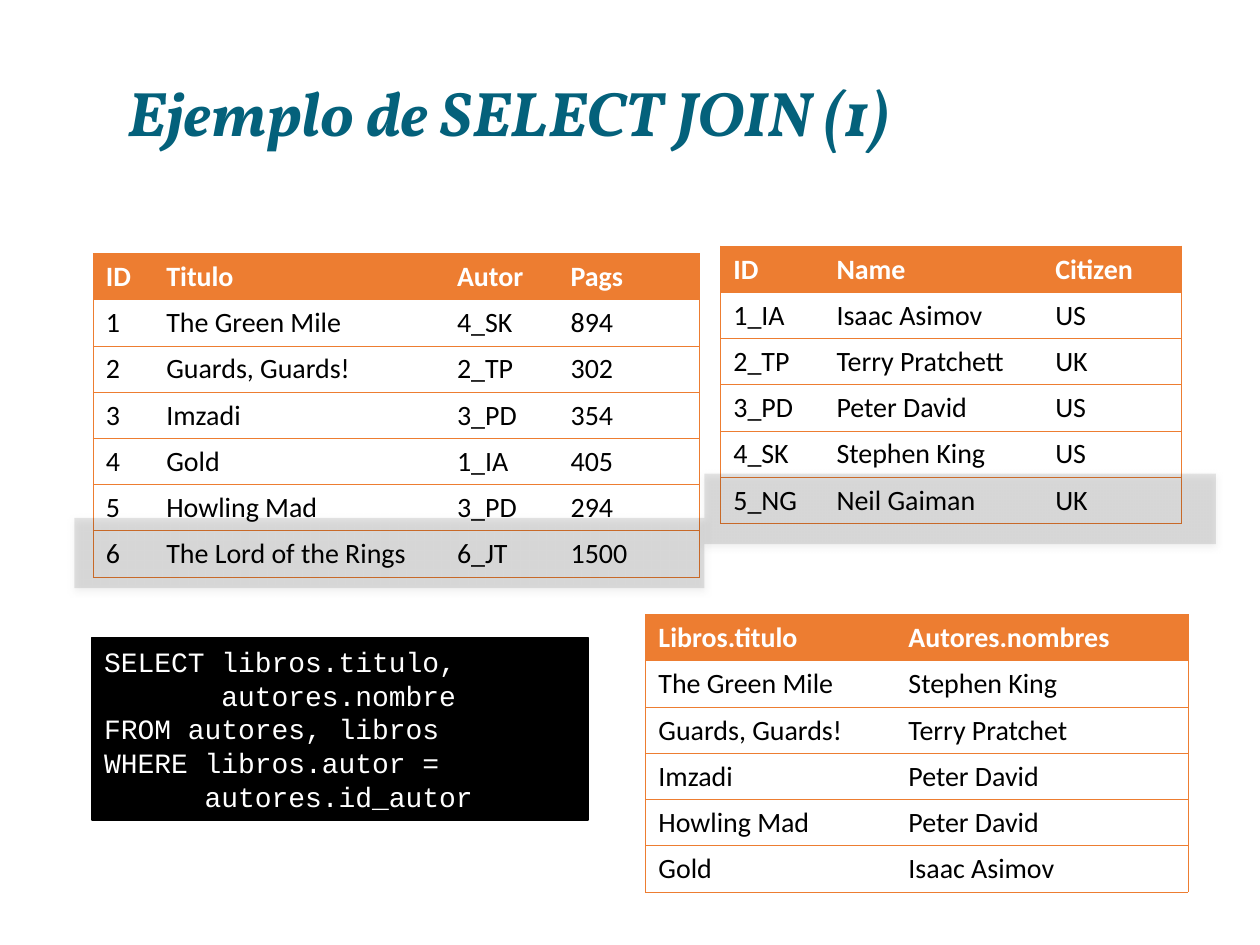
from lxml.etree import SubElement
from pptx import Presentation
from pptx.dml.color import RGBColor
from pptx.enum.shapes import MSO_SHAPE
from pptx.enum.text import MSO_ANCHOR, MSO_AUTO_SIZE, PP_ALIGN
from pptx.oxml.ns import qn
from pptx.util import Cm, Pt

COLORS = {"title": "04617B", "accent": "ED7D31", "dark": "000000", "light": "FFFFFF"}
FORMATS = {
    "title": {"name": "Vollkorn", "size": Pt(36), "bold": True, "italic": True},
    "code": {"name": "Courier New", "size": Pt(16)},
    "header": {"name": "Calibri", "size": Pt(16), "bold": True},
    "body": {"name": "Calibri", "size": Pt(16), "bold": False},
}
ROW_HEIGHT = 0.93

BOOKS = [
    ("ID", "Titulo", "Autor", "Pags"),
    ("1", "The Green Mile", "4_SK", "894"),
    ("2", "Guards, Guards!", "2_TP", "302"),
    ("3", "Imzadi", "3_PD", "354"),
    ("4", "Gold", "1_IA", "405"),
    ("5", "Howling Mad", "3_PD", "294"),
    ("6", "The Lord of the Rings", "6_JT", "1500"),
]
AUTHORS = [
    ("ID", "Name", "Citizen"),
    ("1_IA", "Isaac Asimov", "US"),
    ("2_TP", "Terry Pratchett", "UK"),
    ("3_PD", "Peter David", "US"),
    ("4_SK", "Stephen King", "US"),
    ("5_NG", "Neil Gaiman", "UK"),
]
RESULT = [
    ("Libros.titulo", "Autores.nombres"),
    ("The Green Mile", "Stephen King"),
    ("Guards, Guards!", "Terry Pratchet"),
    ("Imzadi", "Peter David"),
    ("Howling Mad", "Peter David"),
    ("Gold", "Isaac Asimov"),
]
QUERY = [
    "SELECT libros.titulo,",
    "       autores.nombre",
    "FROM autores, libros",
    "WHERE libros.autor =",
    "      autores.id_autor",
]


class Deck:
    """Holds the style and the current slide, and draws each kind of element."""

    def __init__(self, prs):
        self.s = prs.slides.add_slide(prs.slide_layouts[6])

    def color(self, key):
        return RGBColor.from_string(COLORS[key])

    def add_text(self, p, text, style, color):
        r = p.add_run()
        r.text = text
        for name, value in FORMATS[style].items():
            setattr(r.font, name, value)
        r.font.color.rgb = self.color(color)

    def title(self, text, *box):
        tf = self.s.shapes.add_textbox(*map(Cm, box)).text_frame
        tf.word_wrap = True
        tf.vertical_anchor = MSO_ANCHOR.MIDDLE
        p = tf.paragraphs[0]
        p.alignment = PP_ALIGN.CENTER
        self.add_text(p, text, "title", "title")

    def rect(self, *box):
        sp = self.s.shapes.add_shape(MSO_SHAPE.RECTANGLE, *map(Cm, box))
        sp.shadow.inherit = False
        sp.fill.solid()
        sp.fill.fore_color.rgb = self.color("dark")
        return sp

    def code(self, lines, *box):
        sp = self.rect(*box)
        sp.line.color.rgb = self.color("dark")
        sp.line.width = Pt(1)
        tf = sp.text_frame
        tf.word_wrap = True
        tf.auto_size = MSO_AUTO_SIZE.SHAPE_TO_FIT_TEXT
        for i, line in enumerate(lines):
            p = tf.add_paragraph() if i else tf.paragraphs[0]
            p.alignment = PP_ALIGN.LEFT
            self.add_text(p, line, "code", "light")

    def highlight(self, *box):
        sp = self.rect(*box)
        sp.line.fill.background()
        spPr = sp.element.spPr
        SubElement(spPr.find(".//" + qn("a:srgbClr")), qn("a:alpha"), val="10000")
        shadow = SubElement(spPr.find(qn("a:effectLst")), qn("a:outerShdw"),
                            blurRad=str(Pt(4.5)), dist=str(Pt(1.5)),
                            dir="5400000", rotWithShape="0")
        clr = SubElement(shadow, qn("a:srgbClr"), val=COLORS["dark"])
        SubElement(clr, qn("a:alpha"), val="63000")

    def border(self, cell, side, visible):
        tcPr = cell._tc.get_or_add_tcPr()
        ln = SubElement(tcPr, qn("a:ln" + side), w=str(Pt(0.5)))
        if visible:
            fill = SubElement(ln, qn("a:solidFill"))
            SubElement(fill, qn("a:srgbClr"), val=COLORS["accent"])
        else:
            SubElement(ln, qn("a:noFill"))

    def table(self, rows, left, top, widths):
        n = len(widths)
        frame = self.s.shapes.add_table(len(rows), n, Cm(left), Cm(top),
                                        Cm(sum(widths)), Cm(ROW_HEIGHT * len(rows)))
        tbl = frame.table
        tbl.horz_banding = False
        for col, width in zip(tbl.columns, widths):
            col.width = Cm(width)
        for i, row in enumerate(rows):
            tbl.rows[i].height = Cm(ROW_HEIGHT)
            for j, text in enumerate(row):
                cell = tbl.cell(i, j)
                cell.vertical_anchor = MSO_ANCHOR.MIDDLE
                sides = {"L": j == 0, "R": j == n - 1, "T": True, "B": True}
                for side, visible in sides.items():
                    self.border(cell, side, visible)
                if i:
                    cell.fill.background()
                else:
                    cell.fill.solid()
                    cell.fill.fore_color.rgb = self.color("accent")
                style, color = ("body", "dark") if i else ("header", "light")
                self.add_text(cell.text_frame.paragraphs[0], text, style, color)


def main():
    prs = Presentation()
    prs.slide_width, prs.slide_height = Cm(25.4), Cm(19.05)
    deck = Deck(prs)
    deck.title("Ejemplo de SELECT JOIN (1)", 0.43, 0.94, 19.66, 2.59)
    deck.code(QUERY, 1.85, 12.85, 10, 3.68)
    deck.table(BOOKS, 1.88, 5.11, (1.22, 5.86, 2.29, 2.85))
    deck.table(AUTHORS, 14.53, 4.96, (2.08, 4.41, 2.79))
    deck.table(RESULT, 13.02, 12.39, (5.04, 5.89))
    deck.highlight(14.2, 9.55, 10.31, 1.42)
    deck.highlight(1.5, 10.44, 12.7, 1.42)
    prs.save("out.pptx")


if __name__ == "__main__":
    main()
